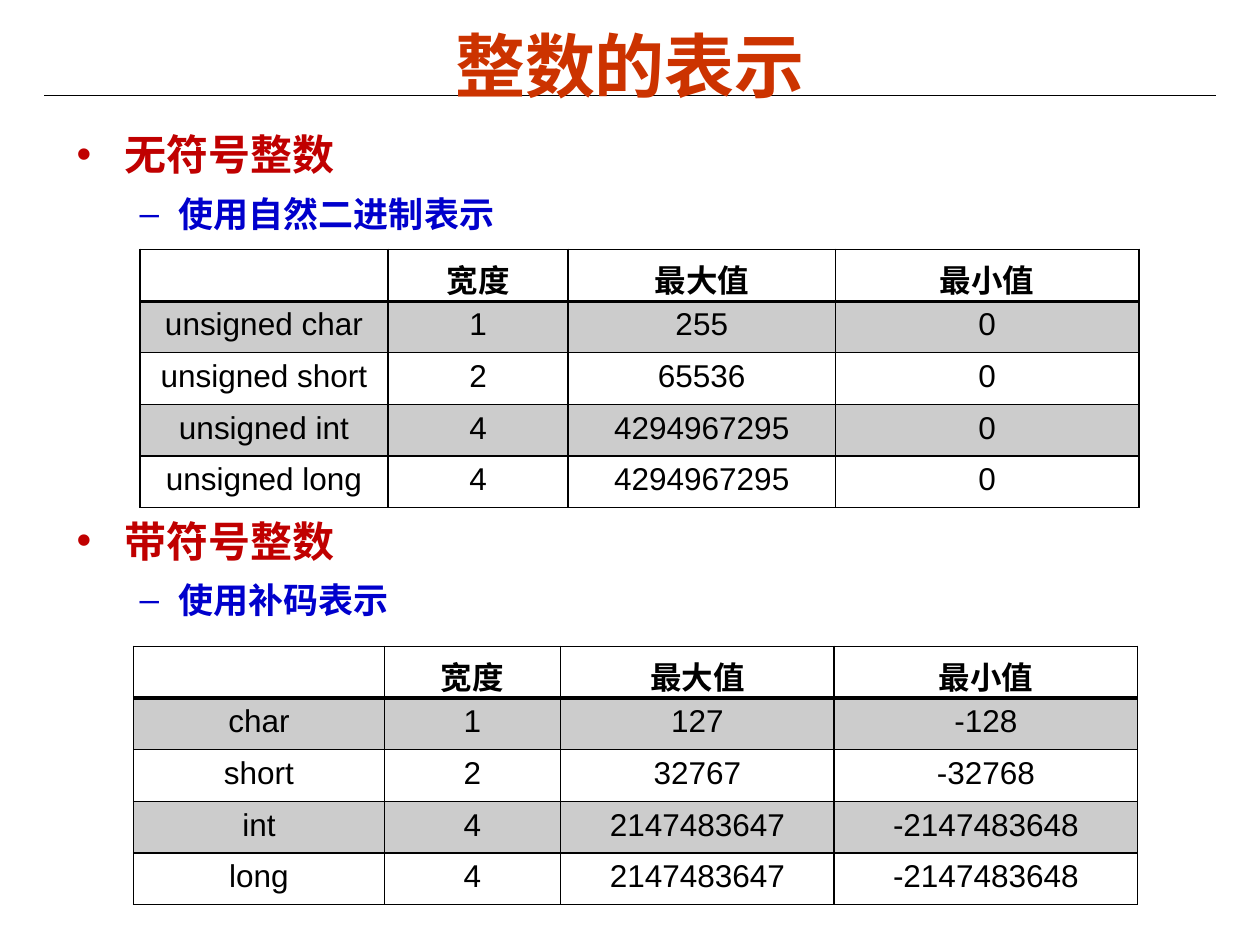
from lxml.etree import SubElement as Sub
from pptx import Presentation
from pptx.dml.color import RGBColor as RGB
from pptx.enum.shapes import MSO_CONNECTOR as Conn
from pptx.enum.text import MSO_ANCHOR as Anchor, PP_ALIGN as Align
from pptx.oxml.ns import qn
from pptx.util import Inches, Pt

# Content
TITLE = "整数的表示"
HEAD = ["", "宽度", "最大值", "最小值"]
PARTS = [
    {"top": 0.91, "head": "无符号整数", "sub": "使用自然二进制表示",
     "at": (1.11, 1.98), "cols": [1.97, 1.43, 2.12, 2.41],
     "rows": [["unsigned char", "1", "255", "0"],
              ["unsigned short", "2", "65536", "0"],
              ["unsigned int", "4", "4294967295", "0"],
              ["unsigned long", "4", "4294967295", "0"]]},
    {"top": 3.98, "head": "带符号整数", "sub": "使用补码表示",
     "at": (1.06, 5.13), "cols": [1.99, 1.4, 2.17, 2.41],
     "rows": [["char", "1", "127", "-128"],
              ["short", "2", "32767", "-32768"],
              ["int", "4", "2147483647", "-2147483648"],
              ["long", "4", "2147483647", "-2147483648"]]},
]

# Style
COLORS = {"title": "CC3300", "head": "C00000", "sub": "0000CC",
          "ink": "000000", "band": "CCCCCC"}
LATIN, HAN = "Arial", "Noto Sans CJK SC"
ROW = 0.41
# name: (size, bullet, left margin, hanging indent)
LEVELS = {"head": (24, "•", 0.38, -0.38), "sub": (20, "–", 0.81, -0.31)}


def add_run(para, text, size, color, bold=True, font=LATIN):
    run = para.add_run()
    run.text = text
    run.font.size, run.font.bold, run.font.name = Pt(size), bold, font
    run.font.color.rgb = RGB.from_string(COLORS[color])
    Sub(run._r.get_or_add_rPr(), qn("a:ea"), typeface=HAN)


def add_box(slide, left, top, width, height):
    frame = slide.shapes.add_textbox(*map(Inches, (left, top, width, height))).text_frame
    frame.word_wrap = True
    return frame


def add_point(para, text, level):
    size, mark, left, hang = LEVELS[level]
    para.line_spacing, para.space_before = 1.15, Pt(size * 0.2)
    props = para._p.get_or_add_pPr()
    props.set("marL", str(Inches(left)))
    props.set("indent", str(Inches(hang)))
    Sub(props, qn("a:buFont"), typeface=LATIN)
    Sub(props, qn("a:buChar"), char=mark)
    add_run(para, text, size, level, font=HAN)


def add_edge(cell, side, width):
    line = Sub(cell._tc.get_or_add_tcPr(), qn("a:ln" + side), w=str(Pt(width)))
    Sub(Sub(line, qn("a:solidFill")), qn("a:srgbClr"), val=COLORS["ink"])


def add_grid(slide, part):
    rows, cols = [HEAD] + part["rows"], part["cols"]
    size = (sum(cols), ROW * len(rows))
    grid = slide.shapes.add_table(len(rows), len(cols),
                                  *map(Inches, part["at"] + size)).table
    for col, width in zip(grid.columns, cols):
        col.width = Inches(width)
    for i, texts in enumerate(rows):
        grid.rows[i].height = Inches(ROW)
        for j, text in enumerate(texts):
            cell = grid.cell(i, j)
            for side in "LRTB":
                # The rule under the header row is heavier
                heavy = (i, side) in ((0, "B"), (1, "T"))
                add_edge(cell, side, 2 if heavy else 1)
            if i % 2:
                cell.fill.solid()
                cell.fill.fore_color.rgb = RGB.from_string(COLORS["band"])
            else:
                cell.fill.background()
            if text:
                para = cell.text_frame.paragraphs[0]
                para.alignment = Align.CENTER
                add_run(para, text, 18, "ink", bold=i == 0)


def main():
    deck = Presentation()
    deck.slide_width, deck.slide_height = Inches(10), Inches(7.5)
    slide = deck.slides.add_slide(deck.slide_layouts[6])

    # Rule and title
    rule = slide.shapes.add_connector(Conn.STRAIGHT, *map(Inches, (0.35, 0.76, 9.65, 0.76)))
    rule.line.width = Pt(0.75)
    rule.line.color.rgb = RGB.from_string(COLORS["ink"])
    Sub(rule._element.spPr, qn("a:effectLst"))
    frame = add_box(slide, 0.5, 0.21, 9, 0.61)
    frame.vertical_anchor = Anchor.MIDDLE
    frame.paragraphs[0].alignment = Align.CENTER
    add_run(frame.paragraphs[0], TITLE, 40, "title")

    # Points, each with its table
    for part in PARTS:
        frame = add_box(slide, 0.51, part["top"], 9, 1.05)
        add_point(frame.paragraphs[0], part["head"], "head")
        add_point(frame.add_paragraph(), part["sub"], "sub")
        add_grid(slide, part)

    deck.save("out.pptx")


if __name__ == "__main__":
    main()
